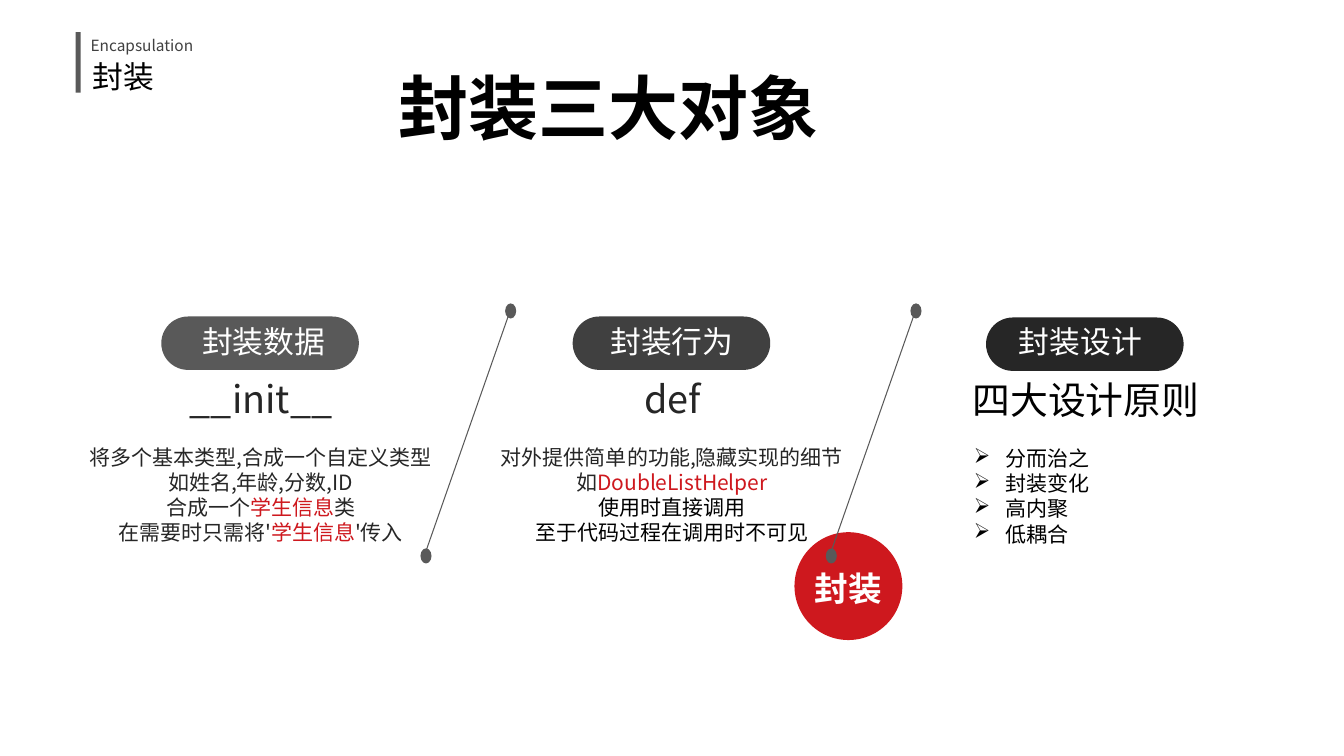
"""Build the slide on the three objects of encapsulation."""
import lxml.etree
import pptx
import pptx.dml.color
import pptx.enum.shapes
import pptx.enum.text
import pptx.oxml.ns
import pptx.util
from dataclasses import dataclass

PX = 9144
SHAPE = pptx.enum.shapes.MSO_SHAPE
ALIGN = pptx.enum.text.PP_ALIGN
qn = pptx.oxml.ns.qn


@dataclass(frozen=True)
class Theme:
    font: str = "Noto Sans CJK SC"
    black: str = "000000"
    ink: str = "262626"
    dark: str = "404040"
    grey: str = "595959"
    red: str = "CE181E"
    white: str = "FFFFFF"
    title: int = 50
    heading: int = 27
    badge: int = 24
    label: int = 22
    body: int = 15
    small: int = 11


theme = Theme()
rgb = pptx.dml.color.RGBColor.from_string


def add_text(box, text, sp=None, size=theme.body, color=theme.black, bold=False,
             align=ALIGN.LEFT, wrap=True, inset=(10, 5), spacing=None, bullet=None):
    """Write lines of text, with parts between asterisks in red; a line may be a (text, colour) pair."""
    if sp is None:
        sp = s.shapes.add_textbox(*(v * PX for v in box))
    else:
        sp.left, sp.top, sp.width, sp.height = (v * PX for v in box)
    tf = sp.text_frame
    tf.auto_size = pptx.enum.text.MSO_AUTO_SIZE.NONE
    tf.vertical_anchor = pptx.enum.text.MSO_ANCHOR.TOP
    tf.word_wrap = wrap
    tf.margin_left = tf.margin_right = inset[0] * PX
    tf.margin_top = tf.margin_bottom = inset[1] * PX
    for i, line in enumerate([text] if isinstance(text, str) else text):
        words, shade = (line, color) if isinstance(line, str) else line
        p = tf.add_paragraph() if i else tf.paragraphs[0]
        p.alignment = align
        if spacing:
            p.line_spacing = spacing
        if bullet:
            pPr = p._p.get_or_add_pPr()
            pPr.set("marL", str(31 * PX))
            pPr.set("indent", str(-31 * PX))
            lxml.etree.SubElement(pPr, qn("a:buChar")).set("char", bullet)
        for j, part in enumerate(words.split("*")):
            if not part:
                continue
            r = p.add_run()
            r.text = part
            r.font.size = pptx.util.Pt(size)
            r.font.bold = bold
            r.font.name = theme.font
            r.font.color.rgb = rgb(theme.red if j % 2 else shade)
            lxml.etree.SubElement(r.font._element, qn("a:ea")).set("typeface", theme.font)


def add_block(kind, box, color):
    """Add a plain filled shape."""
    sp = s.shapes.add_shape(kind, *(v * PX for v in box))
    sp.shadow.inherit = False
    sp.fill.solid()
    sp.fill.fore_color.rgb = rgb(color)
    sp.line.fill.background()
    return sp


prs = pptx.Presentation()
prs.slide_width = 1333 * PX
prs.slide_height = 750 * PX
s = prs.slides.add_slide(prs.slide_layouts[5])

add_text((385, 59, 437, 94), "封装三大对象", sp=s.shapes.title, size=theme.title,
         bold=True, align=ALIGN.CENTER, wrap=False)

add_block(SHAPE.RECTANGLE, (75, 32, 5, 60), theme.grey)
add_text((82, 52, 264, 46), "封装", size=theme.label, wrap=False)
add_text((80, 25, 306, 33), "Encapsulation", size=theme.small, color=theme.dark, spacing=1.3)

add_block(SHAPE.OVAL, (788, 528, 107, 107), theme.red)
add_text((801, 559, 65, 37), "封装", size=theme.badge, color=theme.white, bold=True,
         wrap=False, inset=(7, 4))

columns = [
    (160, 314, theme.grey, "封装数据", "__init__", theme.ink, None,
     ["将多个基本类型,合成一个自定义类型", "如姓名,年龄,分数,ID",
      "合成一个*学生信息*类", "在需要时只需将'*学生信息*'传入"]),
    (568, 314, theme.dark, "封装行为", "def", theme.ink, None,
     ["对外提供简单的功能,隐藏实现的细节", "如*DoubleListHelper*",
      ("使用时直接调用", theme.black), ("至于代码过程在调用时不可见", theme.black)]),
    (978, 315, theme.ink, "封装设计", "四大设计原则", theme.black, "➢",
     ["分而治之", "封装变化", "高内聚", "低耦合"]),
]
for i, (x, y, fill, label, heading, color, bullet, body) in enumerate(columns):
    pill = add_block(SHAPE.ROUNDED_RECTANGLE, (x, y, 196, 53), fill)
    pill.adjustments[0] = 0.5
    add_text((85 + 405 * i, 315, 353, 65), label, size=theme.label, color=theme.white,
             align=ALIGN.CENTER)
    add_text((x - 121, y + 54, 440, 69), heading, size=theme.heading, color=color,
             align=ALIGN.CENTER)
    add_text((x - 22, y + 122, 241, 160), body, color=color, wrap=False, bullet=bullet,
             align=ALIGN.LEFT if bullet else ALIGN.CENTER)

for x in (417, 819):
    ends = (x + 4, 551, x + 87, 314)
    line = s.shapes.add_connector(pptx.enum.shapes.MSO_CONNECTOR.STRAIGHT, *(v * PX for v in ends))
    line.line.color.rgb = rgb(theme.grey)
    line.line.width = pptx.util.Pt(0.75)
    lxml.etree.SubElement(line._element.spPr, qn("a:effectLst"))
    for left, top in ((x + 84, 301), (x, 544)):
        add_block(SHAPE.OVAL, (left, top, 11, 15), theme.grey)

prs.save("out.pptx")
